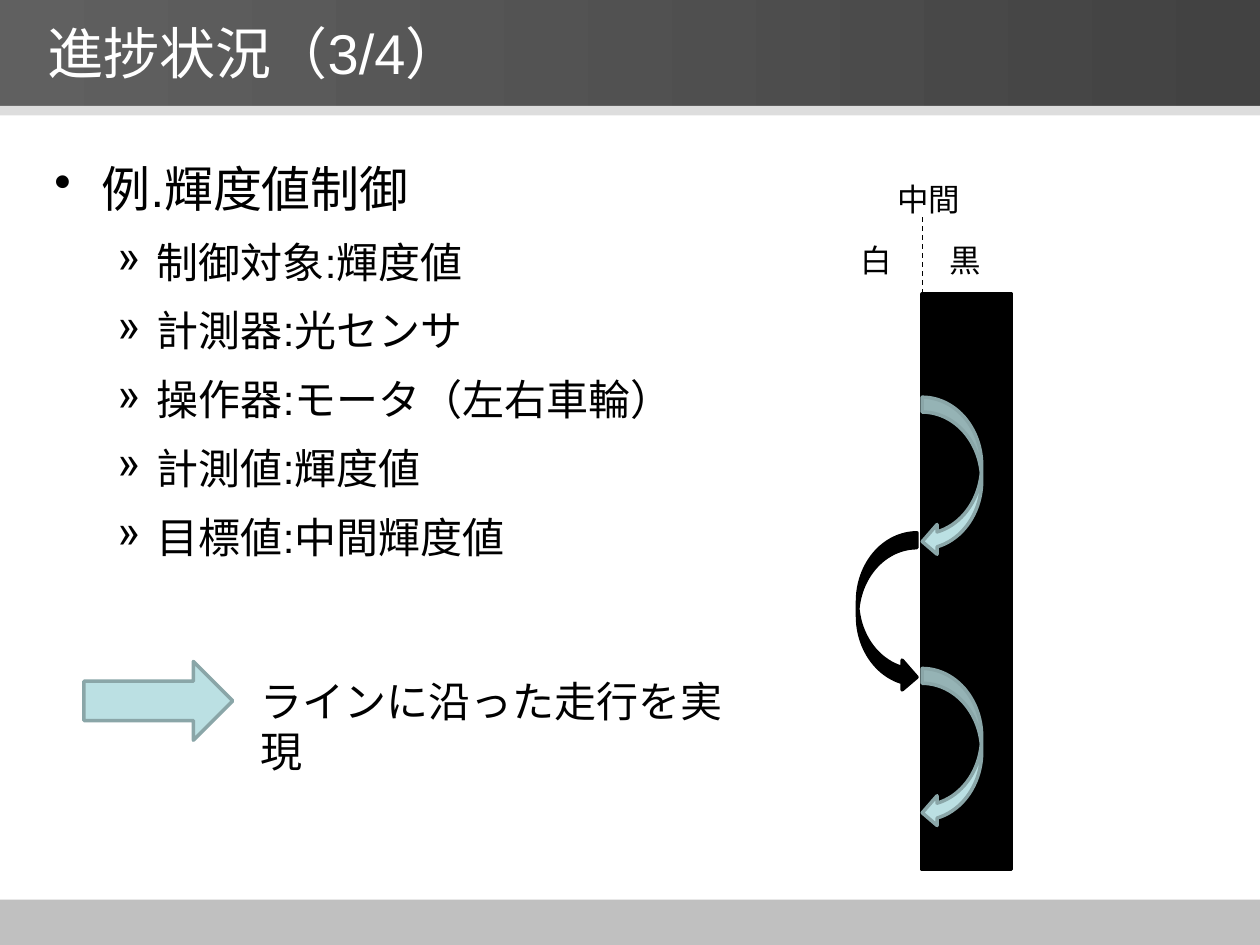
from dataclasses import dataclass

from lxml.etree import SubElement
from pptx import Presentation
from pptx.dml.color import RGBColor as Color
from pptx.enum.dml import MSO_LINE as Dash
from pptx.enum.shapes import MSO_CONNECTOR as Connector, MSO_SHAPE as Shape
from pptx.enum.text import MSO_ANCHOR as Anchor
from pptx.oxml.ns import qn
from pptx.util import Pt


@dataclass(frozen=True)
class Theme:
    font: str = "Arial"
    black: str = "000000"
    white: str = "FFFFFF"
    header_from: str = "606060"
    header_to: str = "424242"
    rule: str = "DDDDDD"
    footer: str = "C0C0C0"
    accent: str = "BBE0E3"
    accent_line: str = "8AA6A8"
    title: int = 32
    heading: int = 28
    body: int = 24
    label: int = 18


THEME = Theme()
WIDTH, HEIGHT = 720, 540
HEADER_HEIGHT, RULE_HEIGHT, FOOTER_TOP = 60.5, 5.5, 514

TITLE = "進捗状況（3/4）"
HEADING = "例.輝度値制御"
ITEMS = [
    "制御対象:輝度値",
    "計測器:光センサ",
    "操作器:モータ（左右車輪）",
    "計測値:輝度値",
    "目標値:中間輝度値",
]
RESULT = "ラインに沿った走行を実現"
LABELS = [("白", 484.5, 134, 34), ("黒", 535.5, 134, 34), ("中間", 505.5, 99.5, 115)]

EDGE, TRACK_TOP, TRACK_WIDTH, TRACK_HEIGHT = 527, 168, 51, 329
DASH_TOP = 122.5
TURN_WIDTH, TURN_HEIGHT, TURN_TOP, TURN_STEP, TURN_GAP = 34, 91, 227, 77.5, 3
TURNS = ["black side", "white side", "black side"]


def color(value):
    """Return the colour for a hex value."""
    return Color.from_string(value)


def add_block(slide, kind, box, fill, line=None):
    """Add a filled preset shape, outlined when a line colour is given."""
    shape = slide.shapes.add_shape(kind, *map(Pt, box))
    shape.shadow.inherit = False
    shape.fill.solid()
    shape.fill.fore_color.rgb = color(fill)
    if line:
        shape.line.color.rgb = color(line)
        shape.line.width = Pt(2)
    else:
        shape.line.fill.background()
    return shape


def add_box(slide, box, anchor=Anchor.TOP):
    """Add a wrapping text box and return its frame."""
    frame = slide.shapes.add_textbox(*map(Pt, box)).text_frame
    frame.word_wrap = True
    frame.vertical_anchor = anchor
    return frame


def write(paragraph, text, size=THEME.body, ink=THEME.black, bullet=None,
          margin=0, hanging=0, line_spacing=None, before=0):
    """Fill a paragraph with formatted text."""
    if bullet:
        properties = paragraph._p.get_or_add_pPr()
        properties.set("marL", str(Pt(margin)))
        properties.set("indent", str(-Pt(hanging)))
        SubElement(properties, qn("a:buChar")).set("char", bullet)
    if line_spacing:
        paragraph.line_spacing = line_spacing
    if before:
        paragraph.space_before = Pt(before)
    run = paragraph.add_run()
    run.text = text
    run.font.name = THEME.font
    run.font.size = Pt(size)
    run.font.color.rgb = color(ink)


def add_frame(slide):
    """Draw the header, its rule, the footer and the title."""
    add_block(slide, Shape.RECTANGLE,
              (0, FOOTER_TOP, WIDTH, HEIGHT - FOOTER_TOP), THEME.footer)
    header = add_block(slide, Shape.RECTANGLE,
                       (0, 0, WIDTH, HEADER_HEIGHT), THEME.header_from)
    header.fill.gradient()
    header.fill.gradient_angle = 0
    for stop, value in zip(header.fill.gradient_stops,
                           (THEME.header_from, THEME.header_to)):
        stop.color.rgb = color(value)
    add_block(slide, Shape.RECTANGLE,
              (0, HEADER_HEIGHT, WIDTH, RULE_HEIGHT), THEME.rule)
    frame = add_box(slide, (20, 0, 678, 60), Anchor.MIDDLE)
    write(frame.paragraphs[0], TITLE, size=THEME.title, ink=THEME.white)


def add_outline(slide):
    """Write the bulleted example and its result."""
    frame = add_box(slide, (24, 80.5, 678, 430))
    write(frame.paragraphs[0], HEADING, size=THEME.heading, bullet="•",
          margin=27, hanging=27, line_spacing=1.2)
    for item in ITEMS:
        paragraph = frame.add_paragraph()
        paragraph.level = 1
        write(paragraph, item, bullet="»", margin=58.5, hanging=22.5,
              line_spacing=1.2, before=0.2 * THEME.body)
    add_block(slide, Shape.RIGHT_ARROW, (48, 378, 85, 45),
              THEME.accent, THEME.accent_line)
    write(add_box(slide, (142, 382.5, 300, 36)).paragraphs[0], RESULT)


def add_track(slide):
    """Draw the line to follow with the turns across its edge."""
    add_block(slide, Shape.RECTANGLE, (EDGE, TRACK_TOP, TRACK_WIDTH, TRACK_HEIGHT),
              THEME.black, THEME.black)
    for index, side in enumerate(TURNS):
        top = TURN_TOP + index * TURN_STEP
        if side == "black side":
            kind, left = Shape.CURVED_LEFT_ARROW, EDGE
            fill, line = THEME.accent, THEME.accent_line
        else:
            kind, left = Shape.CURVED_RIGHT_ARROW, EDGE - TURN_GAP - TURN_WIDTH
            fill = line = THEME.black
        add_block(slide, kind, (left, top, TURN_WIDTH, TURN_HEIGHT), fill, line)
    for text, left, top, width in LABELS:
        frame = add_box(slide, (left, top, width, 29))
        write(frame.paragraphs[0], text, size=THEME.label)
    middle = slide.shapes.add_connector(
        Connector.STRAIGHT, *map(Pt, (EDGE, TRACK_TOP, EDGE, DASH_TOP)))
    middle.line.color.rgb = color(THEME.black)
    middle.line.width = Pt(0.75)
    middle.line.dash_style = Dash.DASH
    SubElement(middle._element.spPr, qn("a:effectLst"))


def main():
    """Build and save the slide."""
    presentation = Presentation()
    presentation.slide_width, presentation.slide_height = Pt(WIDTH), Pt(HEIGHT)
    slide = presentation.slides.add_slide(presentation.slide_layouts[6])
    add_frame(slide)
    add_outline(slide)
    add_track(slide)
    presentation.save("out.pptx")


if __name__ == "__main__":
    main()
